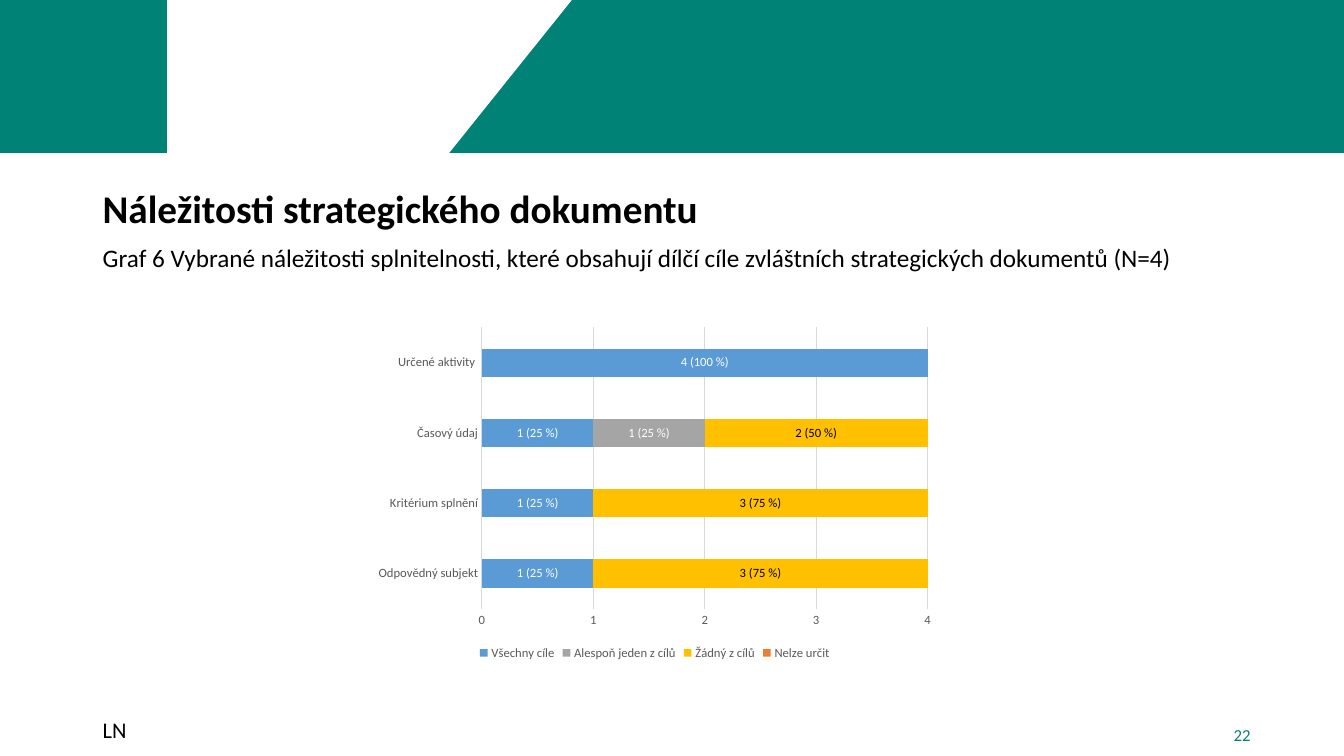
from pptx import Presentation
from pptx.chart.data import CategoryChartData
from pptx.dml.color import RGBColor
from pptx.enum import chart as ch, shapes, text
from pptx.util import Cm, Pt

FONT = "Calibri"
TEAL = RGBColor(0x00, 0x82, 0x76)
WHITE = RGBColor(0xFF, 0xFF, 0xFF)
BLACK = RGBColor(0x00, 0x00, 0x00)
BLUE = RGBColor(0x5B, 0x9B, 0xD5)
GRAY = RGBColor(0xA5, 0xA5, 0xA5)
YELLOW = RGBColor(0xFF, 0xC0, 0x00)
ORANGE = RGBColor(0xED, 0x7D, 0x31)
AXIS_TEXT = RGBColor(0x59, 0x59, 0x59)
GRID = RGBColor(0xD9, 0xD9, 0xD9)

TOTAL = 4
CATEGORIES = ["Odpovědný subjekt", "Kritérium splnění", "Časový údaj", "Určené aktivity "]
# Name, values, bar colour, label colour
ANSWERS = [
    ("Všechny cíle", (1, 1, 1, 4), BLUE, WHITE),
    ("Alespoň jeden z cílů", (0, 0, 1, 0), GRAY, WHITE),
    ("Žádný z cílů", (3, 3, 2, 0), YELLOW, BLACK),
    ("Nelze určit", (0, 0, 0, 0), ORANGE, BLACK),
]


def style_font(font, size, color, bold=False):
    font.name, font.size, font.bold = FONT, Pt(size), bold
    font.color.rgb = color


def add_block(slide, preset, box, color):
    block = slide.shapes.add_shape(preset, *map(Cm, box))
    block.shadow.inherit = False
    block.fill.solid()
    block.fill.fore_color.rgb = color
    block.line.color.rgb = color
    block.line.width = Pt(1)
    return block


def add_text(slide, box, lines, color=BLACK, align=text.PP_ALIGN.LEFT,
             anchor=text.MSO_ANCHOR.TOP, spacing=0.9, before=10):
    """Each line is (wording, size, bold)."""
    frame = slide.shapes.add_textbox(*map(Cm, box)).text_frame
    frame.word_wrap = True
    frame.vertical_anchor = anchor
    for i, (wording, size, bold) in enumerate(lines):
        paragraph = frame.add_paragraph() if i else frame.paragraphs[0]
        paragraph.alignment = align
        paragraph.line_spacing = spacing
        paragraph.space_before = Pt(before)
        run = paragraph.add_run()
        run.text = wording
        style_font(run.font, size, color, bold)


def add_header(slide):
    add_block(slide, shapes.MSO_SHAPE.RECTANGLE, (0, 0, 34.01, 3.84), TEAL)
    gap = add_block(slide, shapes.MSO_SHAPE.TRAPEZOID, (4.23, 0, 7.04, 3.89), WHITE)
    gap.adjustments[0] = 0
    slant = add_block(slide, shapes.MSO_SHAPE.RIGHT_TRIANGLE, (11.27, 0, 3.12, 3.89), WHITE)
    slant._element.spPr.xfrm.set("flipV", "1")


def style_axes(chart):
    for axis in (chart.category_axis, chart.value_axis):
        axis.major_tick_mark = axis.minor_tick_mark = ch.XL_TICK_MARK.NONE
        style_font(axis.tick_labels.font, 9, AXIS_TEXT)
    counts = chart.value_axis
    counts.minimum_scale, counts.maximum_scale, counts.major_unit = 0, TOTAL, 1
    counts.format.line.fill.background()
    for line in (chart.category_axis.format.line, counts.major_gridlines.format.line):
        line.color.rgb = GRID
        line.width = Pt(0.75)


def label_bars(series, values, color):
    for i, value in enumerate(values):
        if not value:
            continue
        label = series.points[i].data_label
        run = label.text_frame.paragraphs[0].add_run()
        run.text = f"{value} ({value * 100 // TOTAL} %)"
        style_font(run.font, 9, color)
        label.position = ch.XL_LABEL_POSITION.CENTER
    if any(values):
        series.data_labels.show_value = False


def add_goals_chart(slide, box):
    data = CategoryChartData()
    data.categories = CATEGORIES
    for name, values, *_ in ANSWERS:
        data.add_series(name, values)
    chart = slide.shapes.add_chart(
        ch.XL_CHART_TYPE.BAR_STACKED, *map(Cm, box), data).chart
    style_font(chart.font, 10, BLACK)
    chart.has_title = False
    chart.has_legend = True
    chart.legend.position = ch.XL_LEGEND_POSITION.BOTTOM
    chart.legend.include_in_layout = False
    style_font(chart.legend.font, 9, AXIS_TEXT)
    style_axes(chart)

    plot = chart.plots[0]
    plot.gap_width, plot.overlap, plot.vary_by_categories = 150, 100, False
    for series, (_, values, fill, label_color) in zip(plot.series, ANSWERS):
        series.format.fill.solid()
        series.format.fill.fore_color.rgb = fill
        label_bars(series, values, label_color)


def main():
    deck = Presentation()
    deck.slide_width, deck.slide_height = Cm(33.87), Cm(19.05)
    slide = deck.slides.add_slide(deck.slide_layouts[6])

    add_header(slide)
    # Heading and chart caption
    add_text(slide, (2.34, 4.66, 29.44, 12.34), [
        ("Náležitosti strategického dokumentu", 28, True),
        ("Graf 6 Vybrané náležitosti splnitelnosti, které obsahují dílčí cíle "
         "zvláštních strategických dokumentů (N=4)", 18, False),
    ])
    # Footer: page number and initials
    add_text(slide, (24, 18.01, 7.77, 1.02), [("22", 12, False)], TEAL,
             text.PP_ALIGN.RIGHT, text.MSO_ANCHOR.MIDDLE, spacing=1.0, before=0)
    add_text(slide, (2.34, 18.01, 21.18, 1.02), [("LN", 16, False)])
    # Stacked bars of goal requirements
    add_goals_chart(slide, (9.25, 8.08, 14.5, 8.66))
    deck.save("out.pptx")


if __name__ == "__main__":
    main()
